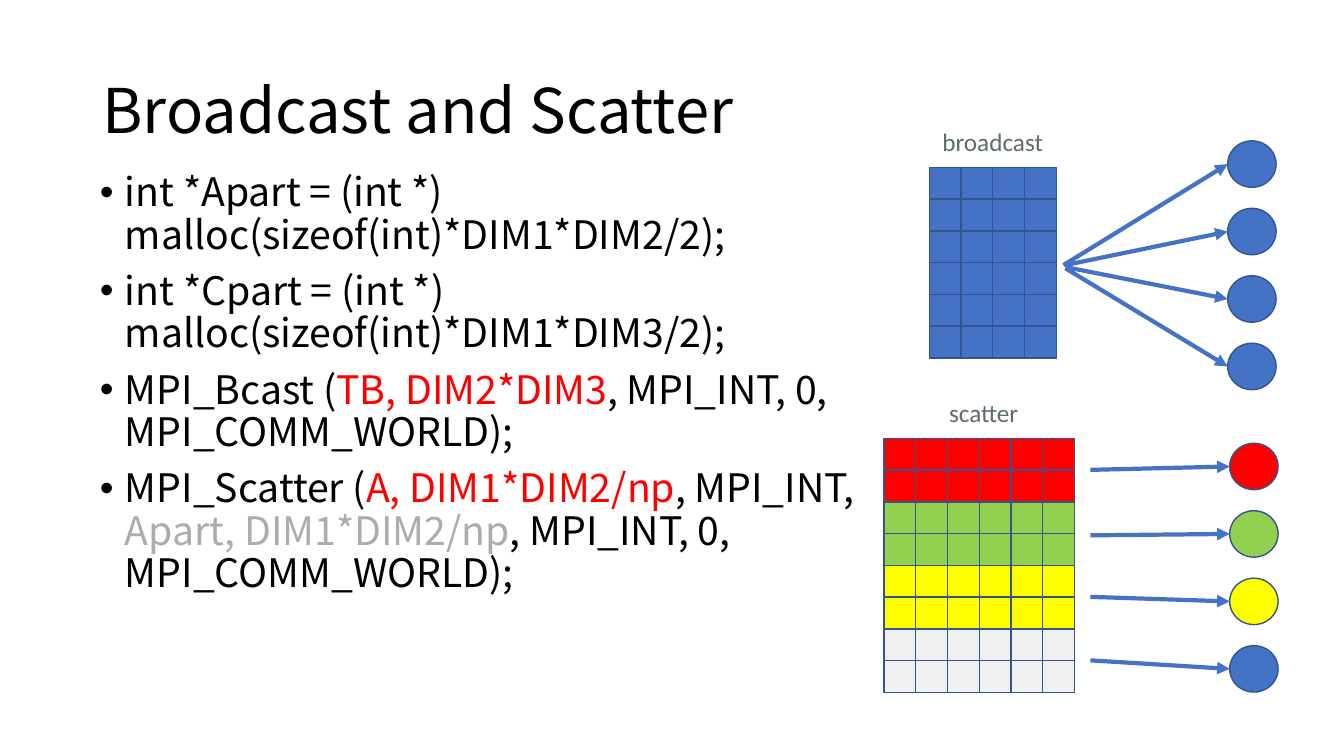
import pptx
import pptx.util
import pptx.dml.color
import pptx.enum.shapes
import pptx.enum.text
import pptx.oxml
import pptx.oxml.ns

Cm = pptx.util.Cm
Pt = pptx.util.Pt
SHAPE = pptx.enum.shapes.MSO_SHAPE
HUES = {"black": "000000", "red": "FF0000", "green": "92D050", "yellow": "FFFF00",
        "pale": "F1F0F0", "blue": "4472C4", "edge": "325491", "ash": "AFABAB",
        "slate": "5E6A71"}
SANS = "Noto Sans CJK SC"
CELL = 0.8
WIDE, HIGH, STEP = 1.22, 1.17, 1.7
CODE = [
    [("int *Apart = (int *) malloc(sizeof(int)*DIM1*DIM2/2);", "black")],
    [("int *Cpart = (int *) malloc(sizeof(int)*DIM1*DIM3/2);", "black")],
    [("MPI_Bcast (", "black"), ("TB, DIM2*DIM3", "red"),
     (", MPI_INT, 0, MPI_COMM_WORLD);", "black")],
    [("MPI_Scatter (", "black"), ("A, DIM1*DIM2/np", "red"), (", MPI_INT, ", "black"),
     ("Apart, DIM1*DIM2/np", "ash"), (", MPI_INT, 0, MPI_COMM_WORLD);", "black")],
]


def hue(name):
    return pptx.dml.color.RGBColor.from_string(HUES[name])


def style(para, size, face, tint):
    para.font.size = Pt(size)
    para.font.name = face
    para.font.color.rgb = hue(tint)


def place(item, left, top, width, height):
    item.left, item.top = Cm(left), Cm(top)
    item.width, item.height = Cm(width), Cm(height)


def head(slide, text):
    title = slide.shapes.title
    place(title, 2.33, 1.01, 29.21, 3.68)
    frame = title.text_frame
    frame.text = text
    frame.auto_size = pptx.enum.text.MSO_AUTO_SIZE.NONE
    frame.vertical_anchor = pptx.enum.text.MSO_ANCHOR.MIDDLE
    para = frame.paragraphs[0]
    para.alignment = pptx.enum.text.PP_ALIGN.LEFT
    para.line_spacing = 0.9
    style(para, 44, SANS, "black")


def bullets(slide, items):
    body = slide.placeholders[1]
    place(body, 2.26, 4.23, 20.04, 12.78)
    frame = body.text_frame
    frame.auto_size = pptx.enum.text.MSO_AUTO_SIZE.NONE
    for num, runs in enumerate(items):
        para = frame.add_paragraph() if num else frame.paragraphs[0]
        para.line_spacing = 0.9
        para.space_before = Pt(10)
        style(para, 28, SANS, "black")
        props = para._p.get_or_add_pPr()
        props.set("marL", str(Cm(0.635)))
        props.set("indent", str(-Cm(0.635)))
        for text, tint in runs:
            run = para.add_run()
            run.text = text
            if tint != "black":
                run.font.color.rgb = hue(tint)


def solid(shapes, kind, box, tint):
    item = shapes.add_shape(kind, *map(Cm, box))
    item.shadow.inherit = False
    item.fill.solid()
    item.fill.fore_color.rgb = hue(tint)
    item.line.color.rgb = hue("edge")
    item.line.width = Pt(1)


def grid(slide, left, top, cols, rows):
    group = slide.shapes.add_group_shape()
    for row, tint in enumerate(rows):
        for col in range(cols):
            box = (left + col * CELL, top + row * CELL, CELL, CELL)
            solid(group.shapes, SHAPE.RECTANGLE, box, tint)


def label(slide, text, left, top, width):
    box = slide.shapes.add_textbox(Cm(left), Cm(top), Cm(width), Cm(1.02))
    box.text_frame.word_wrap = False
    box.text_frame.text = text
    style(box.text_frame.paragraphs[0], 18, "Calibri", "slate")


def arrow(slide, start, end):
    link = slide.shapes.add_connector(
        pptx.enum.shapes.MSO_CONNECTOR.STRAIGHT, *map(Cm, start + end))
    link.line.color.rgb = hue("blue")
    link.line.width = Pt(3)
    tip = pptx.oxml.parse_xml(
        '<a:tailEnd %s type="triangle"/>' % pptx.oxml.ns.nsdecls("a"))
    link.line._get_or_add_ln().append(tip)
    link._element.spPr.append(
        pptx.oxml.parse_xml("<a:effectLst %s/>" % pptx.oxml.ns.nsdecls("a")))


def nodes(slide, left, top, tints, starts):
    for num, (tint, start) in enumerate(zip(tints, starts)):
        high = top + num * STEP
        solid(slide.shapes, SHAPE.OVAL, (left, high, WIDE, HIGH), tint)
        arrow(slide, start, (left, high + HIGH / 2))


def main():
    """Build the broadcast and scatter slide."""
    deck = pptx.Presentation()
    deck.slide_width, deck.slide_height = Cm(33.87), Cm(19.05)
    slide = deck.slides.add_slide(deck.slide_layouts[1])
    head(slide, "Broadcast and Scatter")
    bullets(slide, CODE)

    parts = ["red", "green", "yellow", "pale"]
    grid(slide, 22.28, 11.05, 6, [tint for tint in parts for _ in range(2)])
    label(slide, "scatter", 23.67, 9.88, 2.29)
    grid(slide, 23.42, 4.22, 4, ["blue"] * 6)
    label(slide, "broadcast", 23.5, 3.07, 3.07)

    fan = [(26.8, 6.68), (26.85, 6.68), (26.85, 6.73), (26.85, 6.76)]
    nodes(slide, 30.94, 3.55, ["blue"] * 4, fan)
    rows = [(27.48, high) for high in (11.84, 13.49, 15.04, 16.64)]
    nodes(slide, 30.99, 11.17, parts[:3] + ["blue"], rows)
    deck.save("out.pptx")


main()
